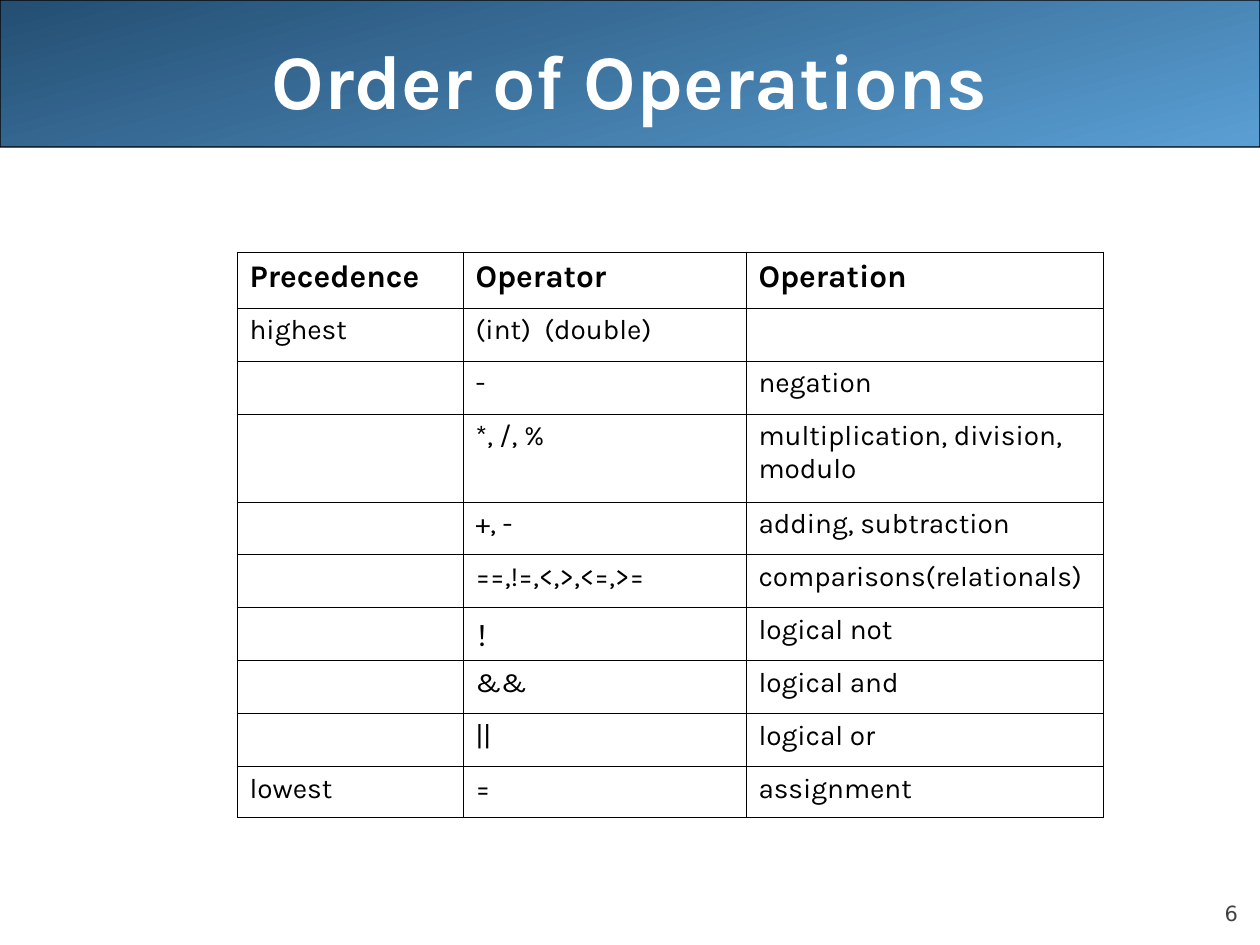
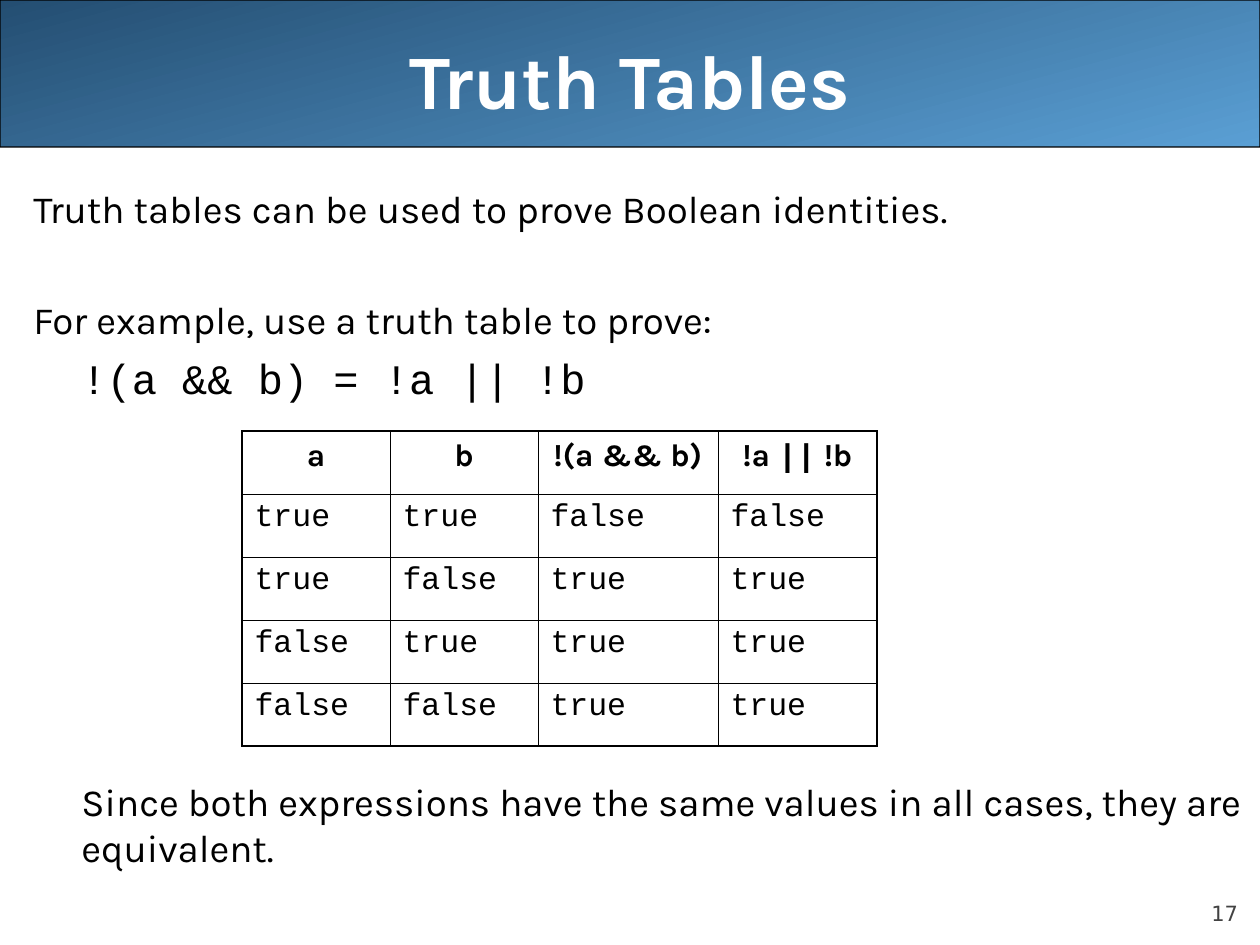
"""Build two slides on operator precedence and truth tables."""
from lxml import etree
from pptx import Presentation
from pptx.dml.color import RGBColor
from pptx.enum.shapes import MSO_SHAPE
from pptx.enum.text import MSO_ANCHOR, PP_ALIGN
from pptx.oxml.ns import qn
from pptx.util import Pt

ROUNDED = MSO_SHAPE.ROUNDED_RECTANGLE
MIDDLE, BOTTOM = MSO_ANCHOR.MIDDLE, MSO_ANCHOR.BOTTOM
LEFT, CENTER, RIGHT = PP_ALIGN.LEFT, PP_ALIGN.CENTER, PP_ALIGN.RIGHT

EMU_PER_PX = 914400 / 126
SLIDE_WIDTH, SLIDE_HEIGHT = 1260, 945
TITLE_ONLY = 5
COLORS = {"band_dark": "244E72", "band_light": "5A9FD4", "ink": "000000",
          "title": "FFFFFF", "page": "424242"}
SANS, MONO, PAGE_FONT = "Karla", "Courier New", "DejaVu Sans"
THIN, THICK = 0.45, 1.08

BAND = (0, 0, 1260, 147)
TITLE = (63, 0, 1134, 158)
PAGE = (1134, 876, 104, 50)
ARGUMENT = (21, 179, 1239, 714)

PRECEDENCE = {
    "at": (237, 252),
    "columns": [226, 283, 357],
    "heights": [56, 53, 53, 88, 53, 53, 53, 53, 53, 51],
    "outer": THIN,
    "header": {"size": 18, "bold": True},
    "body": {"size": 16},
    "rows": [
        ("Precedence", "Operator", "Operation"),
        ("highest", "(int)  (double)", ""),
        ("", "-", "negation"),
        ("", "*, /, %", "multiplication, division, modulo"),
        ("", "+, -", "adding, subtraction"),
        ("", "==,!=,<,>,<=,>=", "comparisons(relationals)"),
        ("", "！", "logical not"),
        ("", "&&", "logical and"),
        ("", "||", "logical or"),
        ("lowest", "=", "assignment"),
    ],
}

TRUTH = {
    "at": (242, 431),
    "columns": [148, 148, 180, 159],
    "heights": [63] * 5,
    "outer": THICK,
    "header": {"size": 18, "bold": True, "align": CENTER, "before": 4.5},
    "body": {"size": 18, "font": MONO, "before": 4.5},
    "rows": [
        ("a", "b", "!(a && b)", [("!a ", SANS), ("||", MONO), (" !b", SANS)]),
        ("true", "true", "false", "false"),
        ("true", "false", "true", "true"),
        ("false", "true", "true", "true"),
        ("false", "false", "true", "true"),
    ],
}

PROOF = [
    ("Truth tables can be used to prove Boolean identities.", {"before": 5.5}),
    ("For example, use a truth table to prove:", {"before": 37}),
    ("!(a && b) = !a || !b", {"before": 6, "size": 24, "font": MONO, "indent": 48}),
    ("Since both expressions have the same values in all cases, they are equivalent.",
     {"before": 214, "indent": 48}),
]

SLIDES = [
    {"title": "Order of Operations", "page": "6", "proof": [], "table": PRECEDENCE},
    {"title": "Truth Tables", "page": "17", "proof": PROOF, "table": TRUTH},
]


def px(*lengths):
    """Turn px lengths into EMU."""
    return [round(length * EMU_PER_PX) for length in lengths]


def rgb(name):
    """Look up a colour by its role."""
    return RGBColor.from_string(COLORS[name])


def write(paragraph, text, size=22, font=SANS, color="ink", bold=False,
          align=LEFT, before=0, indent=0):
    """Fill a paragraph with a string or a list of (string, font) pieces."""
    paragraph.alignment = align
    paragraph.space_before = Pt(before)
    paragraph.font.size = Pt(size)
    if indent:
        paragraph._p.get_or_add_pPr().set("marL", str(px(indent)[0]))
    for piece, face in [(text, font)] if isinstance(text, str) else text:
        if piece:
            run = paragraph.add_run()
            run.text = piece
            run.font.name, run.font.size, run.font.bold = face, Pt(size), bold
            run.font.color.rgb = rgb(color)


def add_frame(slide, box):
    """Add a wrapping text box and return its text frame."""
    frame = slide.shapes.add_textbox(*px(*box)).text_frame
    frame.word_wrap = True
    return frame


def add_heading(slide, text, page):
    """Add the gradient band, the title over it and the page number."""
    band = slide.shapes.add_shape(ROUNDED, *px(*BAND))
    band.adjustments[0] = 0.001
    band.shadow.inherit = False
    band.fill.gradient()
    band.fill.gradient_angle = 285
    for stop, position, name in zip(band.fill.gradient_stops, (0, 1),
                                    ("band_dark", "band_light")):
        stop.position, stop.color.rgb = position, rgb(name)
    band.line.color.rgb, band.line.width = rgb("ink"), Pt(0.75)

    title = slide.shapes.title
    title.left, title.top, title.width, title.height = px(*TITLE)
    title.text_frame.vertical_anchor = MIDDLE
    write(title.text_frame.paragraphs[0], text, size=44, color="title",
          bold=True, align=CENTER)
    slide.shapes._spTree.append(title._element)

    number = add_frame(slide, PAGE)
    number.margin_left = number.margin_right = 0
    number.margin_top = number.margin_bottom = 0
    number.vertical_anchor = BOTTOM
    write(number.paragraphs[0], page, size=12, font=PAGE_FONT, color="page",
          align=RIGHT, before=5)


def add_borders(cell, widths):
    """Draw the left, right, top and bottom borders of a cell."""
    properties = cell._tc.get_or_add_tcPr()
    for side, width in zip("LRTB", widths):
        border = etree.SubElement(properties, qn(f"a:ln{side}"), w=str(Pt(width)))
        fill = etree.SubElement(border, qn("a:solidFill"))
        etree.SubElement(fill, qn("a:srgbClr"), val=COLORS["ink"])


def add_grid(slide, content):
    """Add a ruled table with a header row."""
    columns, heights, rows = content["columns"], content["heights"], content["rows"]
    last_row, last_column = len(rows) - 1, len(columns) - 1
    box = px(*content["at"], sum(columns), sum(heights))
    grid = slide.shapes.add_table(len(rows), len(columns), *box).table
    grid.first_row = grid.horz_banding = False
    for column, width in zip(grid.columns, px(*columns)):
        column.width = width
    for row, height in zip(grid.rows, px(*heights)):
        row.height = height
    for r, row in enumerate(rows):
        for c, text in enumerate(row):
            cell = grid.cell(r, c)
            edges = (c == 0, c == last_column, r == 0, r == last_row)
            add_borders(cell, [content["outer"] if edge else THIN for edge in edges])
            cell.fill.background()
            write(cell.text_frame.paragraphs[0], text,
                  **content["body" if r else "header"])


def add_proof(slide, lines):
    """Add the argument around the truth table."""
    frame = add_frame(slide, ARGUMENT)
    for i, (text, style) in enumerate(lines):
        write(frame.add_paragraph() if i else frame.paragraphs[0], text, **style)


def main():
    """Build and save the presentation."""
    deck = Presentation()
    deck.slide_width, deck.slide_height = px(SLIDE_WIDTH, SLIDE_HEIGHT)
    for content in SLIDES:
        slide = deck.slides.add_slide(deck.slide_layouts[TITLE_ONLY])
        add_heading(slide, content["title"], content["page"])
        if content["proof"]:
            add_proof(slide, content["proof"])
        add_grid(slide, content["table"])
    deck.save("out.pptx")


if __name__ == "__main__":
    main()
